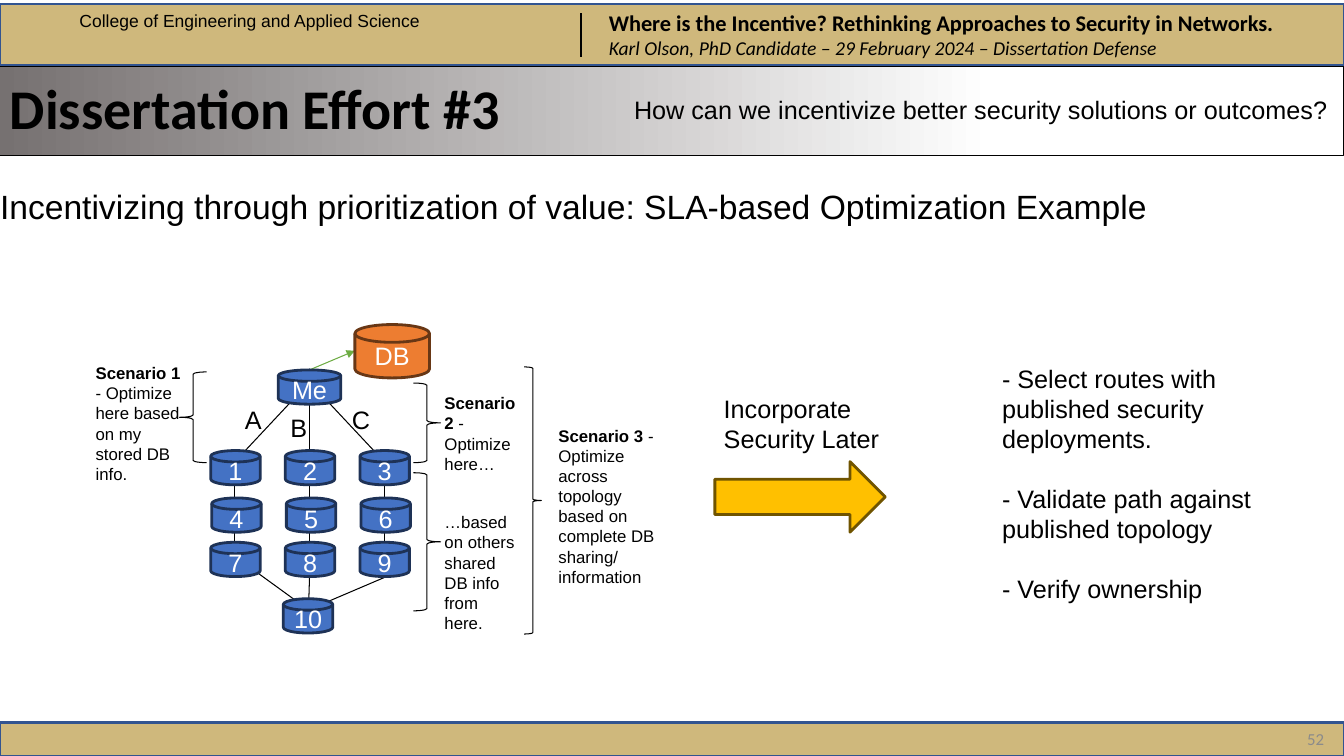
from lxml import etree
from pptx import Presentation
from pptx.dml.color import RGBColor
from pptx.enum.shapes import MSO_CONNECTOR, MSO_SHAPE
from pptx.enum.text import MSO_ANCHOR, PP_ALIGN
from pptx.oxml.ns import qn
from pptx.util import Pt

STRAIGHT = MSO_CONNECTOR.STRAIGHT
RECTANGLE = MSO_SHAPE.RECTANGLE
CYLINDER = MSO_SHAPE.FLOWCHART_MAGNETIC_DISK
BRACE = MSO_SHAPE.LEFT_BRACE
ARROW = MSO_SHAPE.RIGHT_ARROW
TOP, MIDDLE = MSO_ANCHOR.TOP, MSO_ANCHOR.MIDDLE
LEFT, CENTER, RIGHT = PP_ALIGN.LEFT, PP_ALIGN.CENTER, PP_ALIGN.RIGHT

EMU_PER_PX = 9144
BLACK, WHITE = "000000", "FFFFFF"
GOLD, GOLD_EDGE = "CFB87C", "325490"
BLUE, BLUE_EDGE = "4472C4", "1E3256"


def px(length):
    return length * EMU_PER_PX


def color(value):
    return RGBColor.from_string(value)


class SlidePainter:
    font = "Arial"
    heading_font = "Calibri"

    def __init__(self, slide):
        self.slide = slide

    def shape(self, kind, at, fill=None, line=BLACK, width=2):
        shape = self.slide.shapes.add_shape(kind, *map(px, at))
        shape.shadow.inherit = False
        if fill:
            shape.fill.solid()
            shape.fill.fore_color.rgb = color(fill)
        else:
            shape.fill.background()
        shape.line.color.rgb = color(line)
        shape.line.width = Pt(width)
        return shape

    def label(self, box, paras, size, font=None, ink=BLACK, bold=False, align=LEFT,
              anchor=TOP, insets=(10, 5, 10, 5), spacing=None, gap=0):
        frame = box.text_frame
        frame.word_wrap = True
        frame.vertical_anchor = anchor
        (frame.margin_left, frame.margin_top,
         frame.margin_right, frame.margin_bottom) = map(px, insets)
        for index, spans in enumerate(paras):
            para = frame.add_paragraph() if index else frame.paragraphs[0]
            para.alignment = align
            if spacing:
                para.line_spacing = spacing
            if index and gap:
                para.space_before = Pt(gap)
            para.font.name = font or self.font
            para.font.size = Pt(size)
            para.font.color.rgb = color(ink)
            para.font.bold = bold
            for text, strong in spans:
                span = para.add_run()
                span.text = text
                if strong:
                    span.font.bold = True
        return frame

    def text(self, at, paras, size, **style):
        box = self.slide.shapes.add_textbox(*map(px, at))
        return self.label(box, paras, size, **style)

    def line(self, start, end, ink=BLACK, width=0.75, arrow=False):
        line = self.slide.shapes.add_connector(STRAIGHT, *map(px, start + end))
        line.line.color.rgb = color(ink)
        line.line.width = Pt(width)
        properties = line._element.spPr
        if arrow:
            etree.SubElement(properties.find(qn("a:ln")), qn("a:tailEnd"), type="triangle")
        etree.SubElement(properties, qn("a:effectLst"))

    def cylinder(self, at, name, fill=BLUE, line=BLUE_EDGE):
        disk = self.shape(CYLINDER, at, fill, line)
        self.label(disk, plain(name), 18, ink=WHITE, align=CENTER, anchor=MIDDLE)

    def brace(self, at, opens_left=True):
        brace = self.shape(BRACE, at, width=0.75)
        if opens_left:
            brace._element.spPr.find(qn("a:xfrm")).set("flipH", "1")


def plain(*texts):
    return [[(text, False)] for text in texts]


def draw_frame(painter):
    painter.shape(RECTANGLE, (0, 717, 1333, 33), GOLD, GOLD_EDGE)
    painter.shape(RECTANGLE, (0, 4, 1333, 61), GOLD, GOLD_EDGE)
    header = painter.text(
        (594, 4, 744, 60),
        [[("Where is the Incentive? Rethinking Approaches to Security in Networks.", True)],
         [("Karl Olson, PhD Candidate – 29 February 2024 – Dissertation Defense", False)]],
        16, font=painter.heading_font)
    author = header.paragraphs[1]
    author.font.size = Pt(14)
    author.font.italic = True
    painter.text((69, 5, 706, 31), plain("College of Engineering and Applied Science"), 12.5)
    painter.line((576, 13), (576, 57), width=1.5)
    painter.text((1261, 713, 62, 40), plain("52"), 12, font=painter.heading_font,
                 ink="8B8B8B", align=RIGHT, anchor=MIDDLE)


def draw_titles(painter):
    banner = painter.shape(RECTANGLE, (0, 66, 1333, 88), WHITE, width=0)
    banner.fill.gradient()
    banner.fill.gradient_angle = 180
    for stop, (position, shade) in zip(banner.fill.gradient_stops,
                                       ((0.26, WHITE), (1, "767171"))):
        stop.position = position
        stop.color.rgb = color(shade)
    painter.label(banner, plain("Dissertation Effort #3"), 40, font=painter.heading_font,
                  bold=True, anchor=MIDDLE, spacing=0.9)
    painter.text((619, 89, 714, 40),
                 plain("How can we incentivize better security solutions or outcomes?"), 18)
    painter.text(
        (0, 163, 1228, 88),
        plain("Incentivizing through prioritization of value: SLA-based Optimization Example"),
        24, anchor=MIDDLE, insets=(0, 0, 0, 0), spacing=0.9)


def draw_topology(painter):
    columns = (233, 307, 381)
    painter.line((307, 367), (352, 348), ink="6DAC43", arrow=True)
    for center in columns:
        painter.line((307, 379), (center, 458))
        painter.line((center, 573), (center, 481))
        painter.line((306, 605), (center, 552 if center == columns[0] else 573))
    painter.cylinder((276, 367, 62, 34), "Me")
    for row, (top, shift) in enumerate(((447, 0), (494, 1), (538, 0))):
        for column, center in enumerate(columns):
            painter.cylinder((center - 24 + shift, top, 49, 34), str(3 * row + column + 1))
    painter.cylinder((281, 594, 49, 34), "10")
    painter.cylinder((352, 322, 74, 53), "DB", "ED7D31", "683715")
    for name, left, top in (("A", 239, 396), ("B", 284, 404), ("C", 345, 396)):
        painter.text((left, top, 13, 40), plain(name), 18, insets=(4, 5, 0, 5))


def draw_scenarios(painter):
    painter.brace((178, 369, 27, 90), opens_left=False)
    for at in ((410, 380, 27, 79), (410, 469, 27, 137), (520, 364, 17, 265)):
        painter.brace(at)
    for at, name, detail in (
        ((85, 355, 106, 131), "Scenario 1", " - Optimize here based on my stored DB info."),
        ((431, 385, 102, 71), "Scenario 2 ", "- Optimize here…"),
        ((544, 417, 123, 172), "Scenario 3 ",
         "- Optimize across topology based on complete DB sharing/ information"),
    ):
        painter.text(at, [[(name, True), (detail, False)]], 12)
    painter.text((431, 503, 92, 111), plain("…based on others shared DB info from here."), 12)


def draw_outcome(painter):
    painter.shape(ARROW, (709, 458, 169, 70), "FFC000", "705400")
    painter.text((708, 385, 227, 71), plain("Incorporate Security Later"), 18)
    painter.text((984, 355, 303, 252),
                 plain("- Select routes with published security deployments.",
                       "- Validate path against published topology",
                       "- Verify ownership"), 18, gap=21)


def main():
    deck = Presentation()
    deck.slide_width, deck.slide_height = px(1333), px(750)
    painter = SlidePainter(deck.slides.add_slide(deck.slide_layouts[6]))
    draw_frame(painter)
    draw_titles(painter)
    draw_topology(painter)
    draw_scenarios(painter)
    draw_outcome(painter)
    deck.save("out.pptx")


if __name__ == "__main__":
    main()
